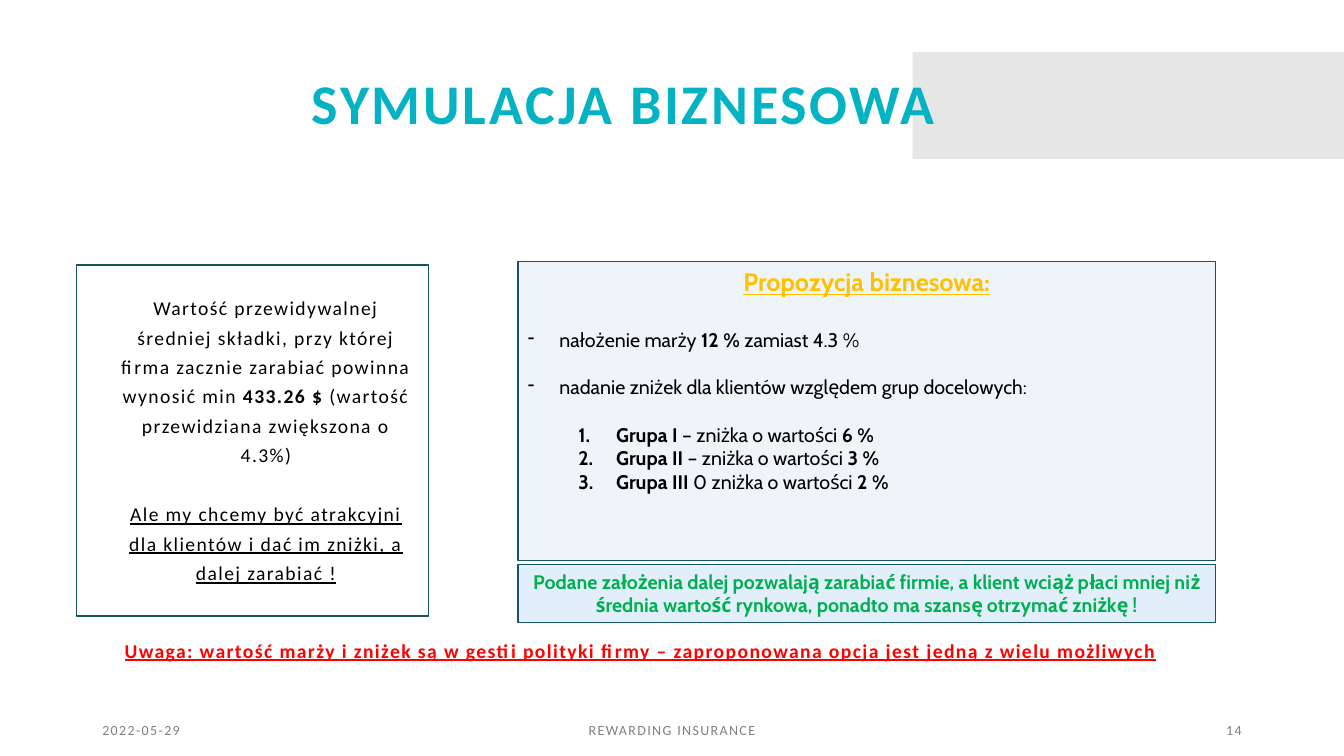
from lxml.etree import SubElement as Sub
from pptx import Presentation
from pptx.dml.color import RGBColor as RGB
from pptx.enum.shapes import MSO_SHAPE as Shape
from pptx.enum.text import MSO_ANCHOR as Anchor, PP_ALIGN as Align
from pptx.oxml.ns import qn
from pptx.util import Pt

BLACK = RGB(0, 0, 0)
TEAL = RGB(0x04, 0xB3, 0xC3)
EDGE = RGB(0x15, 0x54, 0x63)
GREY = RGB(0xE7, 0xE6, 0xE6)
DIM = RGB(0x80, 0x80, 0x80)
PALE = RGB(0xEE, 0xF4, 0xF8)
BLUE = RGB(0xE3, 0xEE, 0xFB)
GOLD = RGB(0xFF, 0xC0, 0x00)
GREEN = RGB(0x00, 0xB0, 0x50)
RED = RGB(0xFF, 0, 0)


def panel(slide, box, fill=None, edge=None):
    """Draw a flat rectangle and return its text frame, set to the top."""
    rect = slide.shapes.add_shape(Shape.RECTANGLE, *map(Pt, box))
    rect.shadow.inherit = False
    if fill is None:
        rect.fill.background()
    else:
        rect.fill.solid()
        rect.fill.fore_color.rgb = fill
    if edge:
        rect.line.color.rgb = EDGE
        rect.line.width = Pt(edge)
    else:
        rect.line.fill.background()
    frame = rect.text_frame
    frame.word_wrap = True
    frame.vertical_anchor = Anchor.TOP
    return frame


def label(slide, box, anchor=Anchor.TOP):
    """Add a wrapping text box and return its frame."""
    frame = slide.shapes.add_textbox(*map(Pt, box)).text_frame
    frame.word_wrap = True
    frame.vertical_anchor = anchor
    return frame


def write(frame, runs, size, color, font="Calibri", align=Align.CENTER,
          under=False, track=0, lead=None, gap=0):
    """Add a paragraph made of (text, bold) runs and return it."""
    first = frame.paragraphs[0]
    para = frame.add_paragraph() if first.runs else first
    para.alignment = align
    para.space_before = Pt(gap)
    if lead:
        para.line_spacing = lead
    for text, bold in runs:
        run = para.add_run()
        run.text = text
        face = run.font
        face.name, face.size, face.bold = font, Pt(size), bold
        face.underline = under
        face.color.rgb = color
        if track:
            run._r.get_or_add_rPr().set("spc", str(track * 100))
    return para


def mark(para, left, hang, kind, **attrs):
    """Give a paragraph a hanging bullet or number."""
    props = para._p.get_or_add_pPr()
    props.set("marL", str(Pt(left)))
    props.set("indent", str(-Pt(hang)))
    Sub(props, qn(kind), **attrs)


def header(slide, x, y, w, h):
    """Place the title and the grey band that runs to the right edge."""
    panel(slide, (x + w - 308, y, 308, h), GREY)
    frame = label(slide, (x + 181.5, y + 15.5, 528, 50.5), Anchor.MIDDLE)
    write(frame, [("SYMULACJA BIZNESOWA", True)], 40, TEAL, track=2, lead=0.8)


def premium(slide, x, y, w, h):
    """Place the framed statement about the premium."""
    panel(slide, (x, y, w, h), edge=1)
    frame = label(slide, (x + 21.6, y + 14.4, w - 24, h - 28))
    style = dict(size=14, color=BLACK, track=1, lead=1.25)
    write(frame, [
        ("Wartość przewidywalnej średniej składki, przy której firma "
         "zacznie zarabiać powinna wynosić min ", False),
        ("433.26 $ ", True),
        ("(wartość przewidziana zwiększona o 4.3%)", False)], **style)
    write(frame, [("Ale my chcemy być atrakcyjni dla klientów i dać im "
                   "zniżki, a dalej zarabiać !", False)],
          under=True, gap=21, **style)


def offer(slide, x, y, w, h):
    """Place the business proposal and its conclusion below."""
    foot = 41
    frame = panel(slide, (x, y, w, h - foot - 3), PALE, 0.75)
    write(frame, [("Propozycja biznesowa:", True)], 18, GOLD, "Cabin",
          under=True)
    style = dict(size=14, color=BLACK, font="Cabin", align=Align.LEFT)
    points = [
        (22, [("nałożenie marży ", False), ("12 % ", True),
              ("zamiast 4.3 %", False)]),
        (17, [("nadanie zniżek dla klientów względem grup docelowych:",
               False)])]
    for gap, runs in points:
        mark(write(frame, runs, gap=gap, **style), 22.5, 22.5,
             "a:buChar", char="-")
    groups = [("Grupa I ", "–", "6 %"), ("Grupa II ", "–", "3 %"),
              ("Grupa III ", "0", "2 %")]
    for i, (name, sign, rate) in enumerate(groups):
        runs = [(name, True), (f"{sign} zniżka o wartości ", False),
                (rate, True)]
        para = write(frame, runs, gap=0 if i else 17, **style)
        para.level = 1
        mark(para, 63, 27, "a:buAutoNum", type="arabicPeriod")
    frame = panel(slide, (x, y + h - foot, w, foot), BLUE, 0.75)
    write(frame, [("Podane założenia dalej pozwalają zarabiać firmie, a "
                   "klient wciąż płaci mniej niż średnia wartość rynkowa, "
                   "ponadto ma szansę otrzymać zniżkę !", True)],
          14, GREEN, "Cabin")


def note(slide, *box):
    """Place the red remark."""
    write(label(slide, box),
          [("Uwaga: wartość marży i zniżek są w gestii polityki firmy – "
            "zaproponowana opcja jest jedną z wielu możliwych", True)],
          14, RED, under=True, track=1, lead=1.25)


def footer(slide, x, y, w, h):
    """Place the date, the subject and the page number."""
    side, mid = 216, 324
    parts = [("2022-05-29", x, side, Align.LEFT),
             ("REWARDING INSURANCE", x + (w - mid) / 2, mid, Align.CENTER),
             ("14", x + w - side, side, Align.RIGHT)]
    for text, left, width, align in parts:
        frame = label(slide, (left, y, width, h), Anchor.MIDDLE)
        write(frame, [(text, False)], 10, DIM, align=align, track=1)


def main():
    """Build the slide and save it."""
    deck = Presentation()
    deck.slide_width, deck.slide_height = Pt(960), Pt(540)
    slide = deck.slides.add_slide(deck.slide_layouts[6])
    header(slide, 0, 37, 960, 76.5)
    premium(slide, 54.7, 189.4, 251.3, 250.6)
    offer(slide, 370, 187, 498.2, 257.5)
    note(slide, 47.5, 448.5, 820, 42.5)
    footer(slide, 66, 513.5, 828, 16)
    deck.save("out.pptx")


if __name__ == "__main__":
    main()
